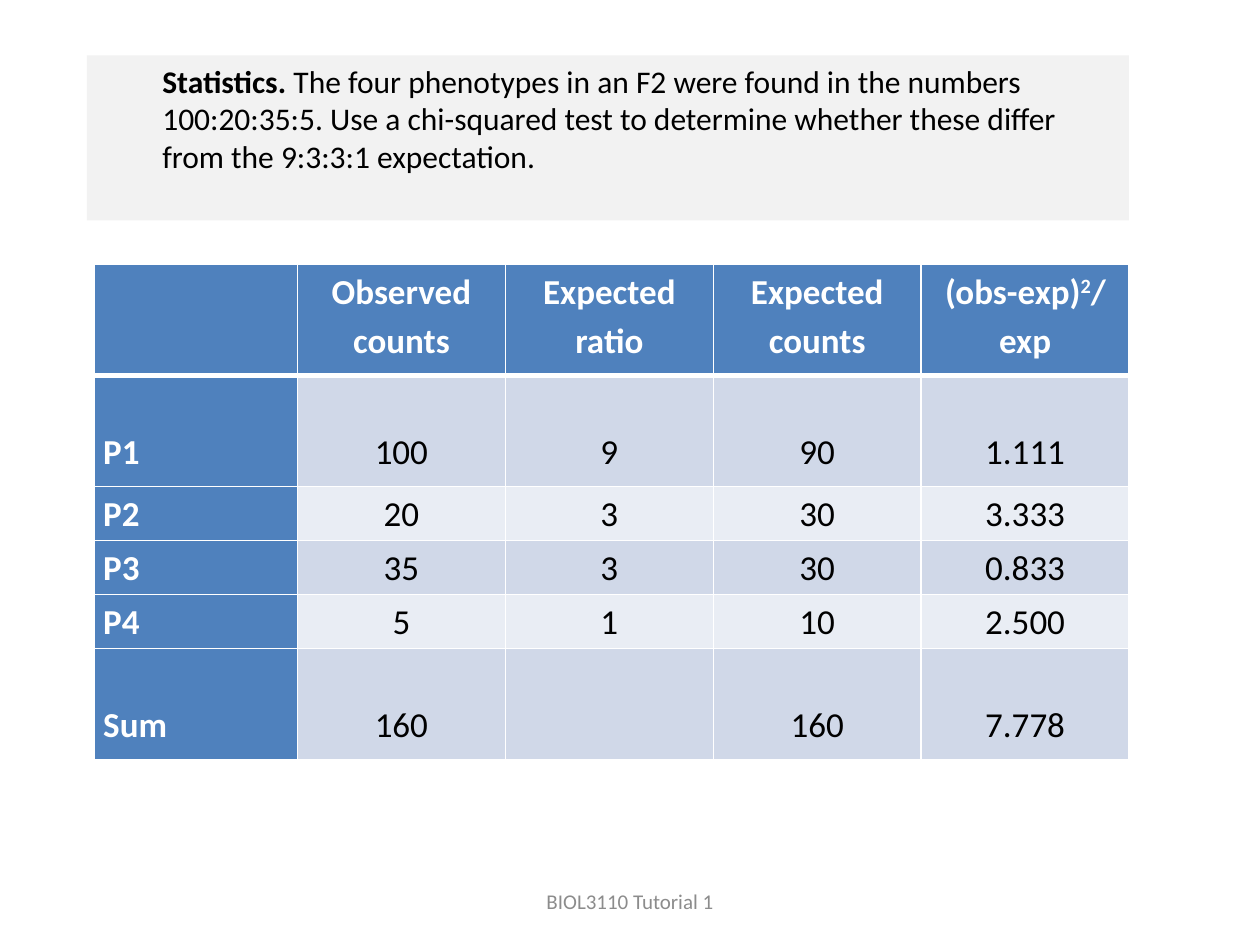
"""Build a slide with a chi-squared question and its worked table."""
from dataclasses import dataclass
from lxml import etree
from pptx import Presentation
from pptx.dml import color
from pptx.enum import shapes, text
from pptx.oxml import ns
from pptx.util import Pt


@dataclass(frozen=True)
class Theme:
    font: str = "Calibri"
    black: str = "000000"
    white: str = "FFFFFF"
    gray: str = "8C8C8C"
    panel: str = "F2F2F2"
    blue: str = "4F81BD"
    bands: tuple = ("D0D8E8", "E9EDF4")
    ask: int = 18
    cell: int = 20
    foot: int = 12


theme = Theme()


def add_run(para, words, size, ink, bold=False):
    run = para.add_run()
    run.text = words
    run.font.name = theme.font
    run.font.size = Pt(size)
    run.font.bold = bold
    run.font.color.rgb = color.RGBColor.from_string(ink)
    return run


def add_edge(cell, side, width):
    edge = etree.SubElement(cell._tc.get_or_add_tcPr(), ns.qn("a:" + side), w=str(Pt(width)))
    fill = etree.SubElement(edge, ns.qn("a:solidFill"))
    etree.SubElement(fill, ns.qn("a:srgbClr"), val=theme.white)


deck = Presentation()
deck.slide_width, deck.slide_height = Pt(720), Pt(540)
slide = deck.slides.add_slide(deck.slide_layouts[6])

panel = slide.shapes.add_shape(shapes.MSO_SHAPE.RECTANGLE, Pt(49.7), Pt(31.7), Pt(595.4), Pt(94.3))
panel.shadow.inherit = False
panel.fill.solid()
panel.fill.fore_color.rgb = color.RGBColor.from_string(theme.panel)
panel.line.fill.background()
frame = panel.text_frame
frame.word_wrap = True
frame.vertical_anchor = text.MSO_ANCHOR.TOP
para = frame.paragraphs[0]
para.alignment = text.PP_ALIGN.LEFT
para._p.get_or_add_pPr().set("marL", str(Pt(36)))
add_run(para, "Statistics. ", theme.ask, theme.black, True)
add_run(para, "The four phenotypes in an F2 were found in the numbers 100:20:35:5. "
        "Use a chi-squared test to determine whether these differ from the "
        "9:3:3:1 expectation.", theme.ask, theme.black)

rows = [
    ("", "Observed\ncounts", "Expected ratio", "Expected counts", "(obs-exp)²/exp"),
    ("P1", "100", "9", "90", "1.111"),
    ("P2", "20", "3", "30", "3.333"),
    ("P3", "35", "3", "30", "0.833"),
    ("P4", "5", "1", "10", "2.500"),
    ("Sum", "160", "", "160", "7.778"),
]
widths = [116] + [118.8] * 4
heights = [63.4, 63.4, 30.9, 30.9, 30.9, 63.4]
table = slide.shapes.add_table(len(rows), len(widths), Pt(54), Pt(151.2),
                               Pt(sum(widths)), Pt(sum(heights))).table
for col, width in zip(table.columns, widths):
    col.width = Pt(width)
for r, row in enumerate(rows):
    table.rows[r].height = Pt(heights[r])
    for c, words in enumerate(row):
        cell = table.cell(r, c)
        head = r == 0 or c == 0
        for side in ("lnL", "lnR", "lnT", "lnB"):
            thick = (r, side) in ((0, "lnB"), (1, "lnT"))
            add_edge(cell, side, 3 if thick else 1)
        cell.fill.solid()
        shade = theme.blue if head else theme.bands[(r - 1) % 2]
        cell.fill.fore_color.rgb = color.RGBColor.from_string(shade)
        cell.margin_left = cell.margin_right = Pt(5)
        cell.margin_top = Pt(28 if r in (1, 5) else 0)
        cell.margin_bottom = Pt(0)
        for i, line in enumerate(words.split("\n")):
            para = cell.text_frame.paragraphs[0] if i == 0 else cell.text_frame.add_paragraph()
            para.alignment = text.PP_ALIGN.CENTER if c else text.PP_ALIGN.LEFT
            para.line_spacing = 1.15
            ink = theme.white if head else theme.black
            base, power, rest = line.partition("²")
            if base:
                add_run(para, base, theme.cell, ink, head)
            if power:
                run = add_run(para, "2", theme.cell, ink, head)
                run._r.get_or_add_rPr().set("baseline", "30000")
                add_run(para, rest, theme.cell, ink, head)

foot = slide.shapes.add_textbox(Pt(246), Pt(500.5), Pt(228), Pt(28.8)).text_frame
foot.word_wrap = True
foot.vertical_anchor = text.MSO_ANCHOR.MIDDLE
foot.paragraphs[0].alignment = text.PP_ALIGN.CENTER
add_run(foot.paragraphs[0], "BIOL3110 Tutorial 1", theme.foot, theme.gray)

deck.save("out.pptx")
